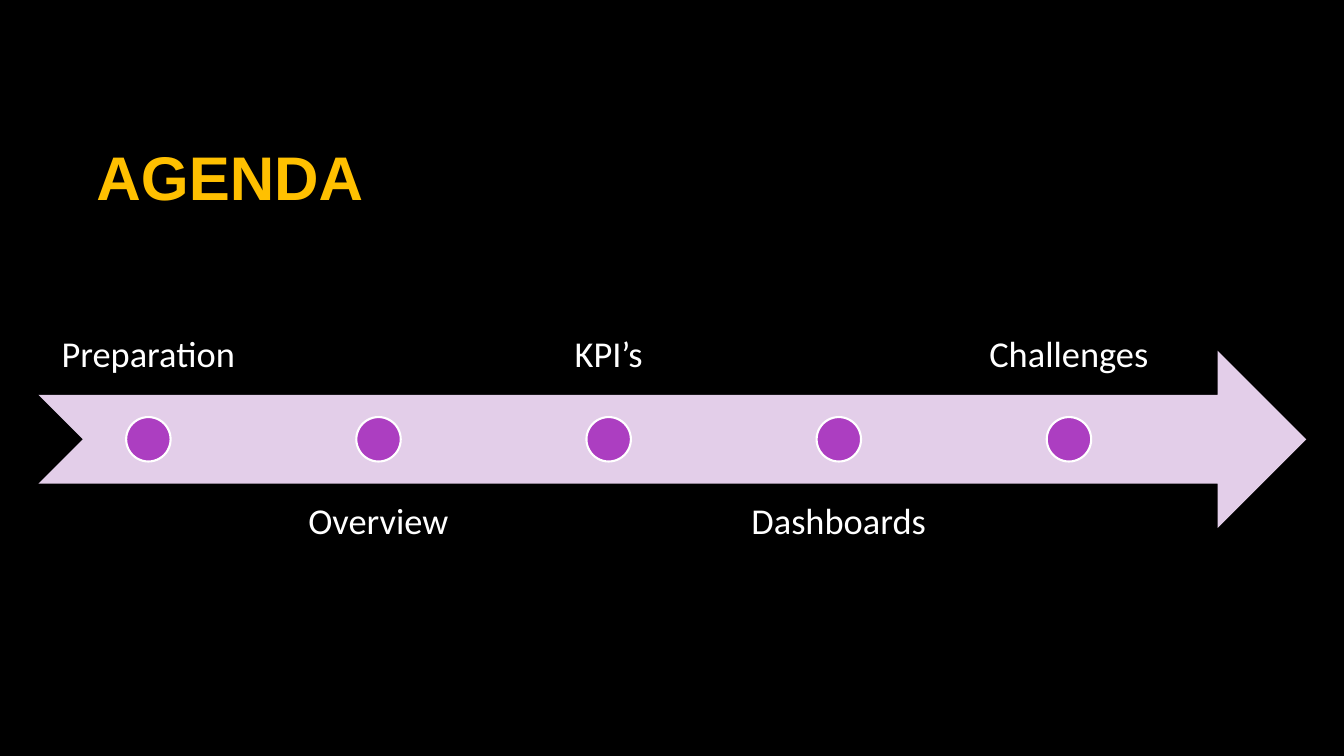
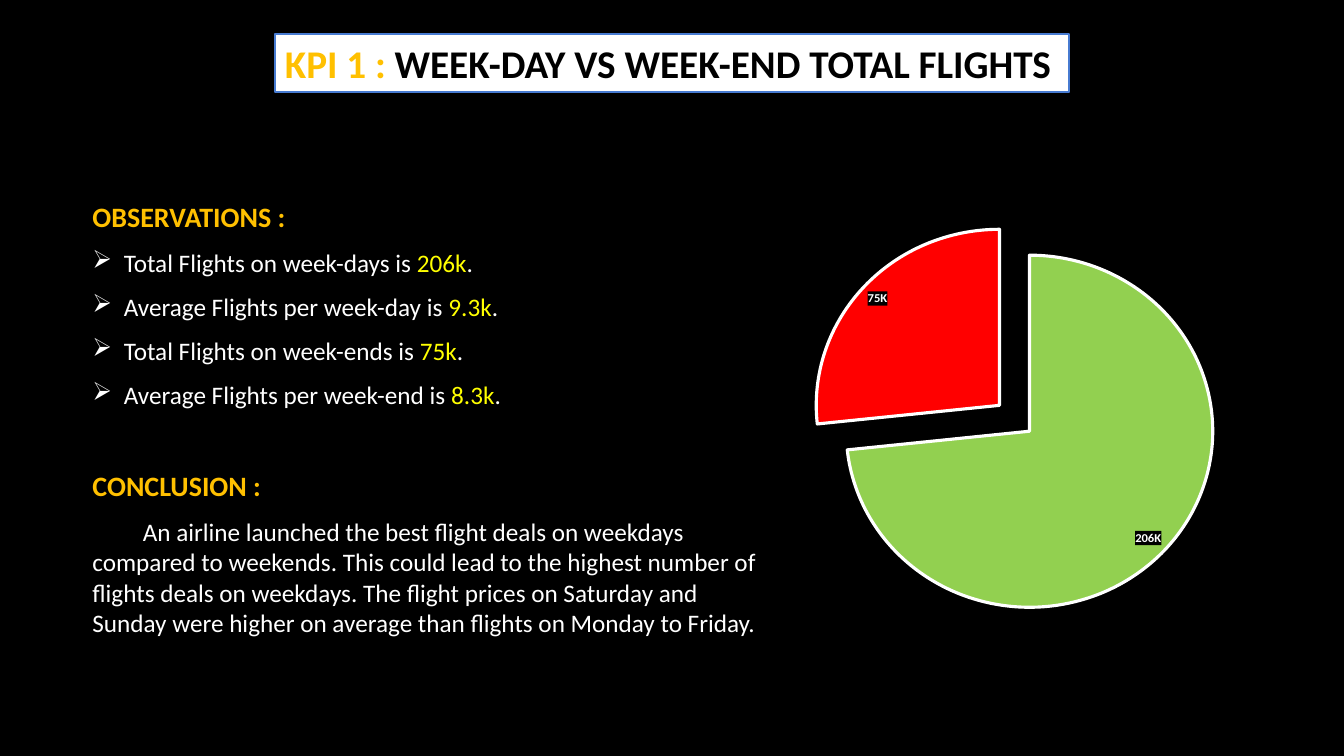
from dataclasses import dataclass

from lxml.etree import SubElement
from pptx import Presentation
from pptx.chart.data import CategoryChartData
from pptx.dml.color import RGBColor
from pptx.enum.chart import XL_CHART_TYPE, XL_LABEL_POSITION
from pptx.enum.shapes import MSO_SHAPE
from pptx.enum.text import MSO_ANCHOR, PP_ALIGN
from pptx.oxml import parse_xml
from pptx.oxml.ns import nsdecls, qn
from pptx.util import Cm, Pt


@dataclass(frozen=True)
class Theme:
    black: str = "000000"
    white: str = "FFFFFF"
    gold: str = "FFC000"
    yellow: str = "FFFF00"
    violet: str = "AC3EC1"
    lilac: str = "E3CEE9"
    blue: str = "477BD1"
    green: str = "92D050"
    red: str = "FF0000"
    display: str = "Arial"
    body: str = "Calibri"
    size_display: int = 44
    size_title: int = 28
    size_step: int = 26
    size_heading: int = 20
    size_text: int = 18
    size_chart: int = 10
    size_label: int = 9


T = Theme()


def rgb(color):
    return RGBColor.from_string(color)


class Deck:
    def __init__(self):
        self.prs = Presentation()
        self.prs.slide_width, self.prs.slide_height = Cm(33.87), Cm(19.05)
        self.s = None

    def slide(self):
        self.s = self.prs.slides.add_slide(self.prs.slide_layouts[6])
        fill = self.s.background.fill
        fill.solid()
        fill.fore_color.rgb = rgb(T.black)

    def shape(self, kind, box, fill, line=None):
        sp = self.s.shapes.add_shape(kind, *map(Cm, box))
        sp.shadow.inherit = False
        sp.fill.solid()
        sp.fill.fore_color.rgb = rgb(fill)
        if line:
            sp.line.color.rgb = rgb(line)
            sp.line.width = Pt(1.5)
        else:
            sp.line.fill.background()
        return sp

    def frame(self, box, anchor=MSO_ANCHOR.TOP, inset=None):
        tf = self.s.shapes.add_textbox(*map(Cm, box)).text_frame
        tf.word_wrap = True
        tf.vertical_anchor = anchor
        if inset is not None:
            for side in ("left", "top", "right", "bottom"):
                setattr(tf, f"margin_{side}", Cm(inset))
        return tf

    def add_runs(self, p, runs, size, bold=False, font=T.body, **layout):
        """Fill a paragraph with (text, colour) runs; layout sets paragraph attributes."""
        for name, value in layout.items():
            setattr(p, name, value)
        for text, color in runs:
            r = p.add_run()
            r.text = text
            style = {"name": font, "size": Pt(size), "bold": bold}
            for name, value in style.items():
                setattr(r.font, name, value)
            r.font.color.rgb = rgb(color)

    def indent(self, p, first, left=0.0, bullet=None):
        pPr = p._p.get_or_add_pPr()
        pPr.set("marL", str(Cm(left)))
        pPr.set("indent", str(Cm(first)))
        if bullet:
            color = SubElement(pPr, qn("a:buClr"))
            SubElement(color, qn("a:srgbClr"), val=T.white)
            SubElement(pPr, qn("a:buChar"), char=bullet)

    def banner(self, box, runs):
        tf = self.shape(MSO_SHAPE.RECTANGLE, box, T.white, T.blue).text_frame
        tf.word_wrap = True
        tf.vertical_anchor = MSO_ANCHOR.MIDDLE
        self.add_runs(tf.paragraphs[0], runs, T.size_title, True, alignment=PP_ALIGN.LEFT)

    def timeline(self, left, middle, width, height, steps):
        """Draw an arrow with one dot per step and labels alternating above and below."""
        label_width, pitch, dot = 5.54, 5.8, 1.12
        self.shape(MSO_SHAPE.NOTCHED_RIGHT_ARROW,
                   (left, middle - height / 2, width, height), T.lilac)
        for i, step in enumerate(steps):
            x = left + i * pitch
            above = i % 2 == 0
            y = middle - height * 1.25 if above else middle + height / 4
            tf = self.frame((x, y, label_width, height),
                            MSO_ANCHOR.BOTTOM if above else MSO_ANCHOR.TOP, 0.51)
            self.add_runs(tf.paragraphs[0], [(step, T.white)], T.size_step,
                          alignment=PP_ALIGN.CENTER, line_spacing=0.9)
            self.shape(MSO_SHAPE.OVAL, (x + (label_width - dot) / 2, middle - dot / 2, dot, dot),
                       T.violet, T.white)

    def pie(self, box, values, colors, exploded, explosion):
        data = CategoryChartData()
        data.categories = [str(i + 1) for i in range(len(values))]
        data.add_series("Series 1", values)
        chart = self.s.shapes.add_chart(XL_CHART_TYPE.PIE, *map(Cm, box), data).chart
        chart.has_legend = chart.has_title = False
        chart.font.name = T.body
        chart.font.size = Pt(T.size_chart)
        chart.font.color.rgb = rgb(T.white)
        plot = chart.plots[0]
        plot.vary_by_categories = True

        for i, color in enumerate(colors):
            point = plot.series[0].points[i]
            point.format.fill.solid()
            point.format.fill.fore_color.rgb = rgb(color)
            point.format.line.color.rgb = rgb(T.white)
            point.format.line.width = Pt(2.25)
        dPt = plot.series[0]._element.findall(qn("c:dPt"))[exploded]
        dPt.find(qn("c:spPr")).addprevious(
            parse_xml(f'<c:explosion {nsdecls("c")} val="{explosion}"/>'))

        labels = plot.series[0].data_labels
        settings = {"show_value": True, "number_format": '#,"K"',
                    "number_format_is_linked": False,
                    "position": XL_LABEL_POSITION.INSIDE_END}
        for name, value in settings.items():
            setattr(labels, name, value)
        font = {"name": T.body, "size": Pt(T.size_label), "bold": True}
        for name, value in font.items():
            setattr(labels.font, name, value)
        labels.font.color.rgb = rgb(T.white)
        labels._element.find(qn("c:txPr")).addprevious(parse_xml(
            f'<c:spPr {nsdecls("c", "a")}><a:solidFill><a:srgbClr val="{T.black}"/>'
            '</a:solidFill></c:spPr>'))

        area = chart._chartSpace.chart.plotArea
        for old in area.findall(qn("c:layout")):
            area.remove(old)
        place = {"x": 0.14, "y": 0.03, "w": 0.72, "h": 0.93}
        sizes = "".join(f'<c:{k} val="{v}"/>' for k, v in place.items())
        area.insert(0, parse_xml(
            f'<c:layout {nsdecls("c")}><c:manualLayout><c:layoutTarget val="inner"/>'
            f'<c:xMode val="edge"/><c:yMode val="edge"/>{sizes}</c:manualLayout></c:layout>'))


def agenda(deck):
    deck.slide()
    tf = deck.frame((2.18, 2.95, 7.37, 2.95), MSO_ANCHOR.MIDDLE)
    deck.add_runs(tf.paragraphs[0], [("AGENDA", T.gold)], T.size_display, True, T.display)
    deck.timeline(0.97, 11.07, 31.95, 4.47,
                  ["Preparation", "Overview", "KPI’s", "Dashboards", "Challenges"])


def weekday_flights(deck):
    deck.slide()
    deck.banner((6.93, 0.86, 20.02, 1.47),
                [("KPI 1 : ", T.gold), ("WEEK-DAY VS WEEK-END TOTAL FLIGHTS", T.black)])
    tf = deck.frame((2.08, 4.9, 17.7, 11.2))
    gap = {"space_after": Pt(10)}
    deck.add_runs(tf.paragraphs[0], [("OBSERVATIONS :", T.gold)], T.size_heading, True, **gap)
    observations = [("Total Flights on week-days is ", "206k"),
                    ("Average Flights per week-day is ", "9.3k"),
                    ("Total Flights on week-ends is ", "75k"),
                    ("Average Flights per week-end is ", "8.3k")]
    for text, figure in observations:
        p = tf.add_paragraph()
        deck.add_runs(p, [(text, T.white), (figure, T.yellow), (".", T.white)],
                      T.size_text, **gap)
        deck.indent(p, -0.79, 0.79, "➢")
    deck.add_runs(tf.add_paragraph(), [("CONCLUSION :", T.gold)], T.size_heading, True,
                  space_before=Pt(32), **gap)
    p = tf.add_paragraph()
    deck.add_runs(p, [("An airline launched the best flight deals on weekdays compared to "
                       "weekends. This could lead to the highest number of flights deals on "
                       "weekdays. The flight prices on Saturday and Sunday were higher on "
                       "average than flights on Monday to Friday.", T.white)],
                  T.size_text, **gap)
    deck.indent(p, 1.27)
    deck.pie((19.53, 5.74, 12.83, 9.96), (206000, 75000), (T.green, T.red),
             exploded=1, explosion=22)


def main():
    deck = Deck()
    agenda(deck)
    weekday_flights(deck)
    deck.prs.save("out.pptx")


if __name__ == "__main__":
    main()
